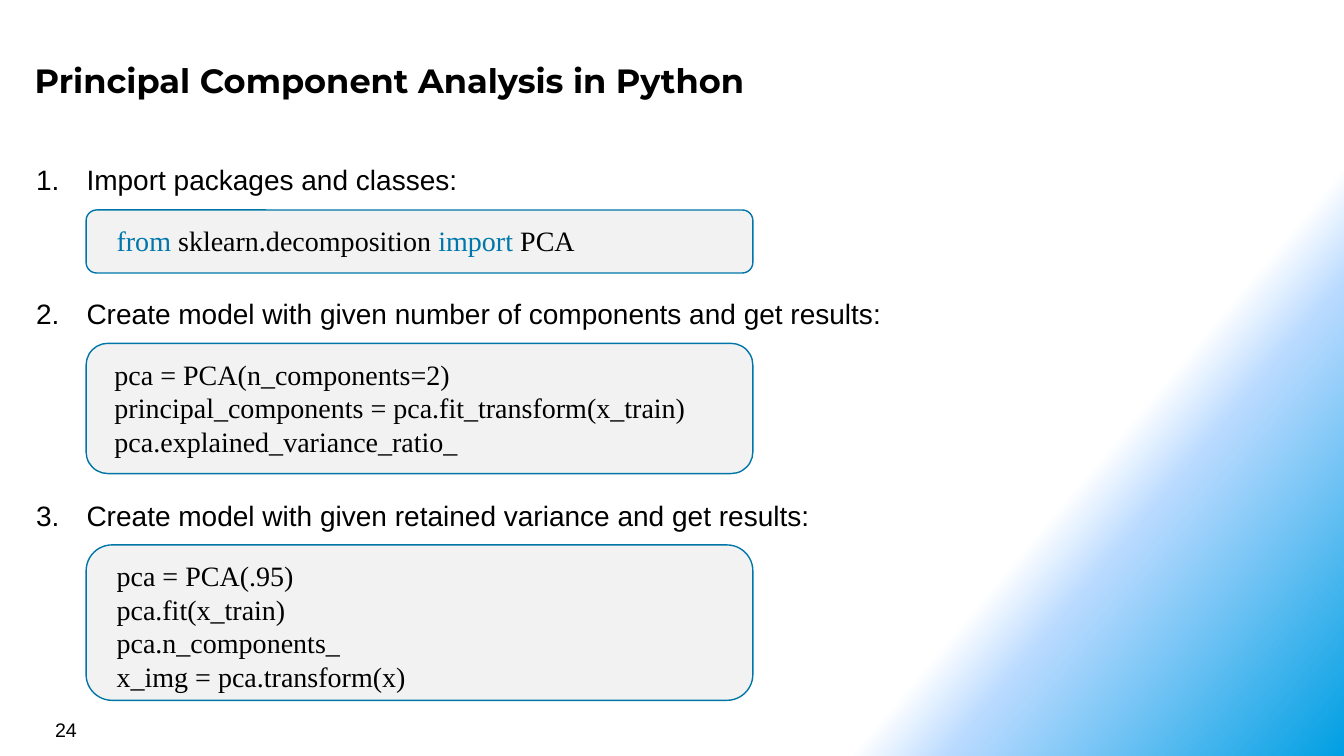
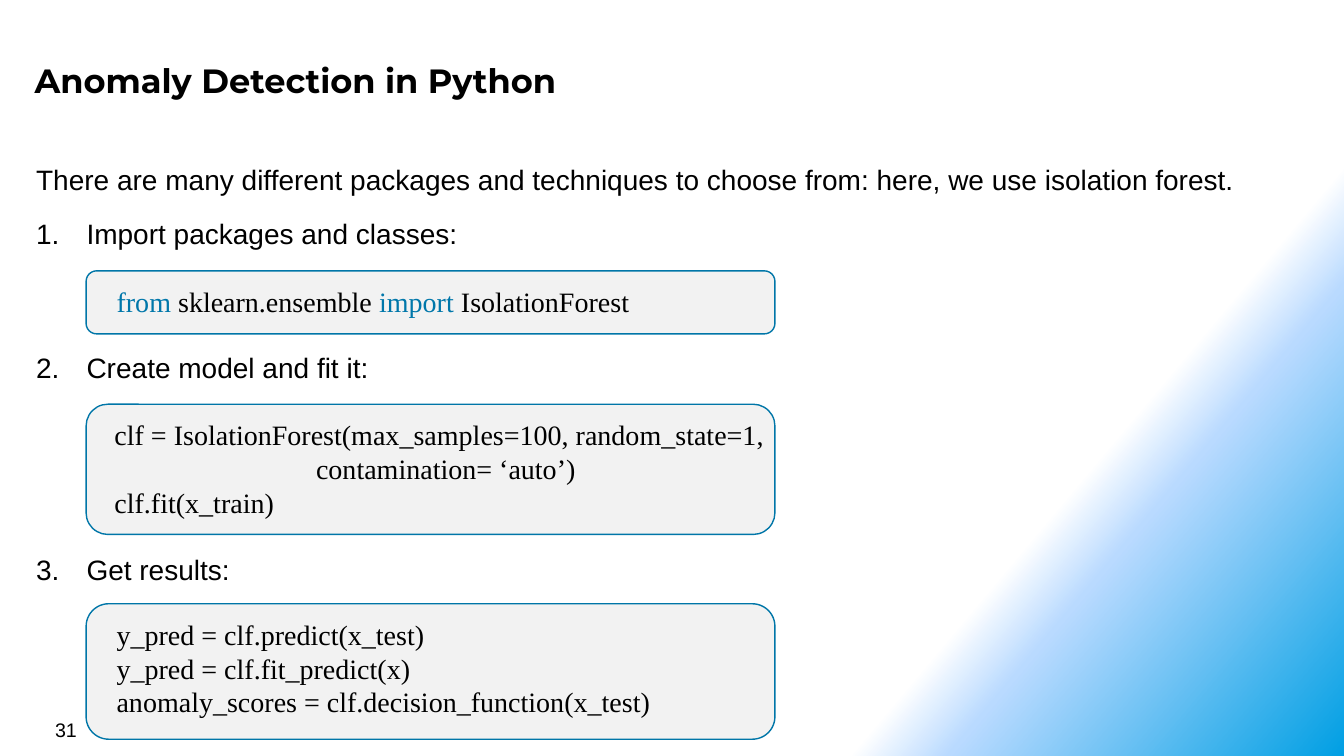
"""Builds two slides of numbered Python steps with code panels."""
import lxml.etree
import pptx
import pptx.dml.color
import pptx.enum.shapes
import pptx.enum.text
import pptx.oxml.ns
import pptx.util

COLORS = {"text": "000000", "keyword": "0077AA", "panel": "F2F2F2", "border": "0076A8"}
GRADIENT = [(75, "FFFFFF", 100), (80, "B9DAFF", 50), (100, "009FE3", 100)]
GRADIENT_ANGLE = 40
PX = 9525
SLIDE = (1280, 720)
TITLE_BOX = (25, 49, 1177, 53)
NUMBER_BOX = (43, 679, 299, 32)
BODY_BOX = (25, 150, 1217, 365)
PANEL_LEFT = 82
CODE_TOP = 13
CORNER_INSET = 0.0488
LINE = 32
LIST_INDENT = 48
CONTINUATION = 192
KEYWORDS = ("from", "import")

# A step is (distance from the line above, numbered, wording).
# A panel is (top, height, text inset, code lines); a leading tab marks a continuation.
SLIDES = [
    {
        "title": "Principal Component Analysis in Python",
        "number": "24",
        "steps": [
            (LINE, True, "Import packages and classes:"),
            (128, True, "Create model with given number of components and get results:"),
            (192, True, "Create model with given retained variance and get results:"),
        ],
        "panel_width": 635,
        "panels": [
            (200, 60, 29, ["from sklearn.decomposition import PCA"]),
            (327, 124, 27, [
                "pca = PCA(n_components=2)",
                "principal_components = pca.fit_transform(x_train)",
                "pca.explained_variance_ratio_",
            ]),
            (519, 148, 29, [
                "pca = PCA(.95)",
                "pca.fit(x_train)",
                "pca.n_components_",
                "x_img = pca.transform(x)",
            ]),
        ],
    },
    {
        "title": "Anomaly Detection in Python",
        "number": "31",
        "steps": [
            (LINE, False, "There are many different packages and techniques to choose from: "
                          "here, we use isolation forest."),
            (51, True, "Import packages and classes:"),
            (128, True, "Create model and fit it:"),
            (192, True, "Get results:"),
        ],
        "panel_width": 656,
        "panels": [
            (258, 60, 29, ["from sklearn.ensemble import IsolationForest"]),
            (385, 124, 27, [
                "clf = IsolationForest(max_samples=100, random_state=1,",
                "\tcontamination= ‘auto’)",
                "clf.fit(x_train)",
            ]),
            (575, 129, 29, [
                "y_pred = clf.predict(x_test)",
                "y_pred = clf.fit_predict(x)",
                "anomaly_scores = clf.decision_function(x_test)",
            ]),
        ],
    },
]


def px(length):
    return pptx.util.Emu(round(length * PX))


def rgb(name):
    return pptx.dml.color.RGBColor.from_string(COLORS[name])


def add_child(parent, tag, **attributes):
    return lxml.etree.SubElement(parent, pptx.oxml.ns.qn(tag), **attributes)


def paint_background(master):
    fill = master.background.fill
    fill.gradient()
    fill.gradient_angle = 360 - GRADIENT_ANGLE
    stops = next(master.element.iter(pptx.oxml.ns.qn("a:gsLst")))
    for stop in list(stops):
        stops.remove(stop)
    for position, color, opacity in GRADIENT:
        stop = add_child(stops, "a:gs", pos=str(position * 1000))
        tint = add_child(stop, "a:srgbClr", val=color)
        if opacity < 100:
            add_child(tint, "a:alpha", val=str(opacity * 1000))


def style(para, size, face, bold=False):
    para.alignment = pptx.enum.text.PP_ALIGN.LEFT
    para.font.size = pptx.util.Pt(size)
    para.font.name = face
    para.font.bold = bold
    para.font.color.rgb = rgb("text")


def add_text_box(page, box):
    frame = page.shapes.add_textbox(*map(px, box)).text_frame
    frame.word_wrap = True
    return frame


def add_paragraphs(frame, lines):
    for index, line in enumerate(lines):
        para = frame.add_paragraph() if index else frame.paragraphs[0]
        yield para, line


def indent(para, left, first=0):
    properties = para._p.get_or_add_pPr()
    properties.set("marL", str(px(left)))
    properties.set("indent", str(px(first)))
    return properties


def add_title(page, title):
    frame = add_text_box(page, TITLE_BOX)
    frame.margin_left = frame.margin_top = frame.margin_right = frame.margin_bottom = px(8)
    frame.text = title
    style(frame.paragraphs[0], 24, "Montserrat", bold=True)


def add_number(page, number):
    frame = add_text_box(page, NUMBER_BOX)
    frame.text = number
    style(frame.paragraphs[0], 14, "Arial")


def add_steps(page, steps):
    frame = add_text_box(page, BODY_BOX)
    for para, (distance, numbered, wording) in add_paragraphs(frame, steps):
        para.text = wording
        style(para, 20, "Arial")
        para.line_spacing = px(LINE)
        para.space_before = px(distance - LINE)
        if numbered:
            properties = indent(para, LIST_INDENT, -LIST_INDENT)
            add_child(properties, "a:buFont", typeface="+mj-lt")
            add_child(properties, "a:buAutoNum", type="arabicPeriod")


def add_code(para, line):
    if line.startswith("\t"):
        indent(para, CONTINUATION)
    words = line.strip().split(" ")
    if words[0] not in KEYWORDS:
        para.text = line.strip()
    else:
        for index, word in enumerate(words):
            span = para.add_run()
            span.text = word if index == len(words) - 1 else word + " "
            if word in KEYWORDS:
                span.font.color.rgb = rgb("keyword")
    style(para, 20, "Times New Roman")
    para.line_spacing = px(LINE)


def add_panel(page, width, top, height, inset, lines):
    panel = page.shapes.add_shape(
        pptx.enum.shapes.MSO_SHAPE.ROUNDED_RECTANGLE,
        *map(px, (PANEL_LEFT, top, width, height)))
    panel.shadow.inherit = False
    panel.fill.solid()
    panel.fill.fore_color.rgb = rgb("panel")
    panel.line.color.rgb = rgb("border")
    panel.line.width = pptx.util.Pt(1)
    frame = panel.text_frame
    frame.word_wrap = True
    frame.vertical_anchor = pptx.enum.text.MSO_ANCHOR.TOP
    corner = CORNER_INSET * height
    frame.margin_left = px(inset - corner)
    frame.margin_top = px(CODE_TOP - corner)
    frame.margin_right = frame.margin_bottom = 0
    for para, line in add_paragraphs(frame, lines):
        add_code(para, line)


def main():
    deck = pptx.Presentation()
    deck.slide_width, deck.slide_height = map(px, SLIDE)
    paint_background(deck.slide_master)
    for content in SLIDES:
        page = deck.slides.add_slide(deck.slide_layouts[6])
        add_title(page, content["title"])
        add_number(page, content["number"])
        add_steps(page, content["steps"])
        for panel in content["panels"]:
            add_panel(page, content["panel_width"], *panel)
    deck.save("out.pptx")


if __name__ == "__main__":
    main()
